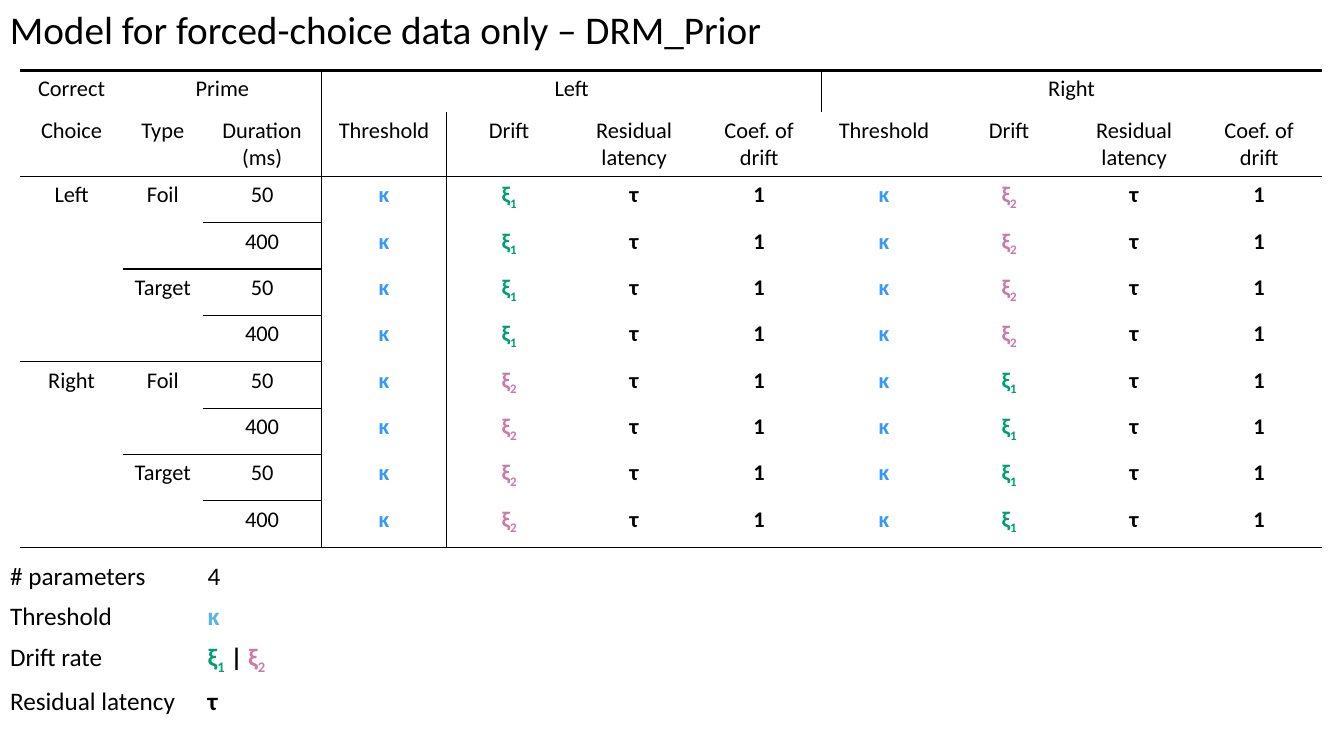
"""Build the slide on the forced-choice model and its parameters."""
import pptx
import pptx.util
import pptx.dml.color
import pptx.enum.text
import lxml.etree

Inches, Pt = pptx.util.Inches, pptx.util.Pt
RGB = pptx.dml.color.RGBColor
BLACK, WHITE = RGB(0, 0, 0), RGB(255, 255, 255)
BLUE, SKY = RGB(0x33, 0x99, 0xFF), RGB(0x56, 0xB4, 0xE9)
GREEN, PINK = RGB(0, 0x9E, 0x73), RGB(0xCC, 0x79, 0xA7)
CENTER = pptx.enum.text.PP_ALIGN.CENTER
LEFT = pptx.enum.text.PP_ALIGN.LEFT
FACE = "Calibri"
PLAIN = "{2D5ABB26-0587-4C30-8999-92F81FD0307C}"

TITLE = "Model for forced-choice data only – DRM_Prior"
XI = {1: ("ξ", "1", GREEN), 2: ("ξ", "2", PINK)}
TAU, ONE = [("τ", "", BLACK)], [("1", "", BLACK)]
SIDES = ["Left", "Right"]
TYPES = ["Foil", "Target"]
TIMES = ["50", "400"]
PARTS = ["Threshold", "Drift", "Residual latency", "Coef. of\ndrift"]
TOP = ["Correct", "Prime", "", "Left", "", "", "", "Right", "", "", ""]
HEAD = ["Choice", "Type", "Duration (ms)"] + PARTS * 2
SPANS = [(1, 2), (3, 6), (7, 10)]
WIDTHS = [1.02, 0.79, 1.18] + [1.24] * 8
HEIGHTS = [0.41, 0.64] + [0.46] * 8
GAPS = [4, 2, 1] + [8] * 8
LEGEND = [
    ["# parameters", "4"],
    ["Threshold", [("κ", "", SKY)]],
    ["Drift rate", [XI[1], (" | ", "", BLACK), XI[2]]],
    ["Residual latency", TAU],
    ["", ""],
]


def model():
    """Return the rows of the model table."""
    rows = [TOP, HEAD]
    for side in SIDES:
        for kind in TYPES:
            for time in TIMES:
                first = kind == TYPES[0] and time == TIMES[0]
                row = [side if first else "", kind if time == TIMES[0] else "", time]
                for choice in SIDES:
                    drift = XI[1 if choice == side else 2]
                    row += [[("κ", "", BLUE)], [drift], TAU, ONE]
                rows.append(row)
    return rows


def write(frame, text, size, align=LEFT):
    """Fill a text frame with plain text or with bold symbols."""
    bold = isinstance(text, list)
    lines = [text] if bold else [[(line, "", BLACK)] for line in text.split("\n")]
    for num, line in enumerate(lines):
        para = frame.add_paragraph() if num else frame.paragraphs[0]
        para.alignment = align
        para.font.name, para.font.size, para.font.bold = FACE, Pt(size), bold
        for base, sub, color in line:
            for part in filter(None, (base, sub)):
                run = para.add_run()
                run.text = part
                run.font.color.rgb = color
                if part is sub:
                    run.font._element.set("baseline", "-25000")


def edge(cell, side, width):
    """Draw one black border of a cell."""
    props = cell._tc.get_or_add_tcPr()
    space = props.nsmap["a"]
    line = lxml.etree.SubElement(props, f"{{{space}}}ln{side}", w=str(Pt(width)))
    fill = lxml.etree.SubElement(line, f"{{{space}}}solidFill")
    lxml.etree.SubElement(fill, f"{{{space}}}srgbClr", val=str(BLACK))


def grid(slide, rows, left, top, widths, heights):
    """Add an unstyled table of the given sizes."""
    frame = slide.shapes.add_table(len(rows), len(widths), Inches(left), Inches(top),
                                   Inches(sum(widths)), Inches(sum(heights)))
    table = frame.table
    table.first_row = table.horz_banding = False
    table._tbl.tblPr[0].text = PLAIN
    for col, width in zip(table.columns, widths):
        col.width = Inches(width)
    for row, height in zip(table.rows, heights):
        row.height = Inches(height)
    return table


deck = pptx.Presentation()
deck.slide_width, deck.slide_height = Inches(13.33), Inches(7.5)
slide = deck.slides.add_slide(deck.slide_layouts[6])

title = slide.shapes.add_textbox(0, 0, Inches(7.74), Inches(0.57)).text_frame
title.word_wrap = False
write(title, TITLE, 28)

rows = model()
table = grid(slide, rows, 0.2, 0.7, WIDTHS, HEIGHTS)
for start, end in SPANS:
    table.cell(0, start).merge(table.cell(0, end))
for r, row in enumerate(rows):
    for c, text in enumerate(row):
        cell = table.cell(r, c)
        write(cell.text_frame, text, 16, CENTER)
        if c == 3:
            edge(cell, "L", 1)
        if r == 0:
            edge(cell, "T", 2.25)
        elif (r - 1) % GAPS[c] == 0:
            edge(cell, "B", 1)
        cell.fill.background()

legend = grid(slide, LEGEND, 0, 5.52, [1.96, 11.26], [0.4, 0.4, 0.44, 0.4, 0.36])
for r, row in enumerate(LEGEND):
    for c, text in enumerate(row):
        cell = legend.cell(r, c)
        write(cell.text_frame, text, 18)
        cell.fill.solid()
        cell.fill.fore_color.rgb = WHITE

deck.save("out.pptx")
